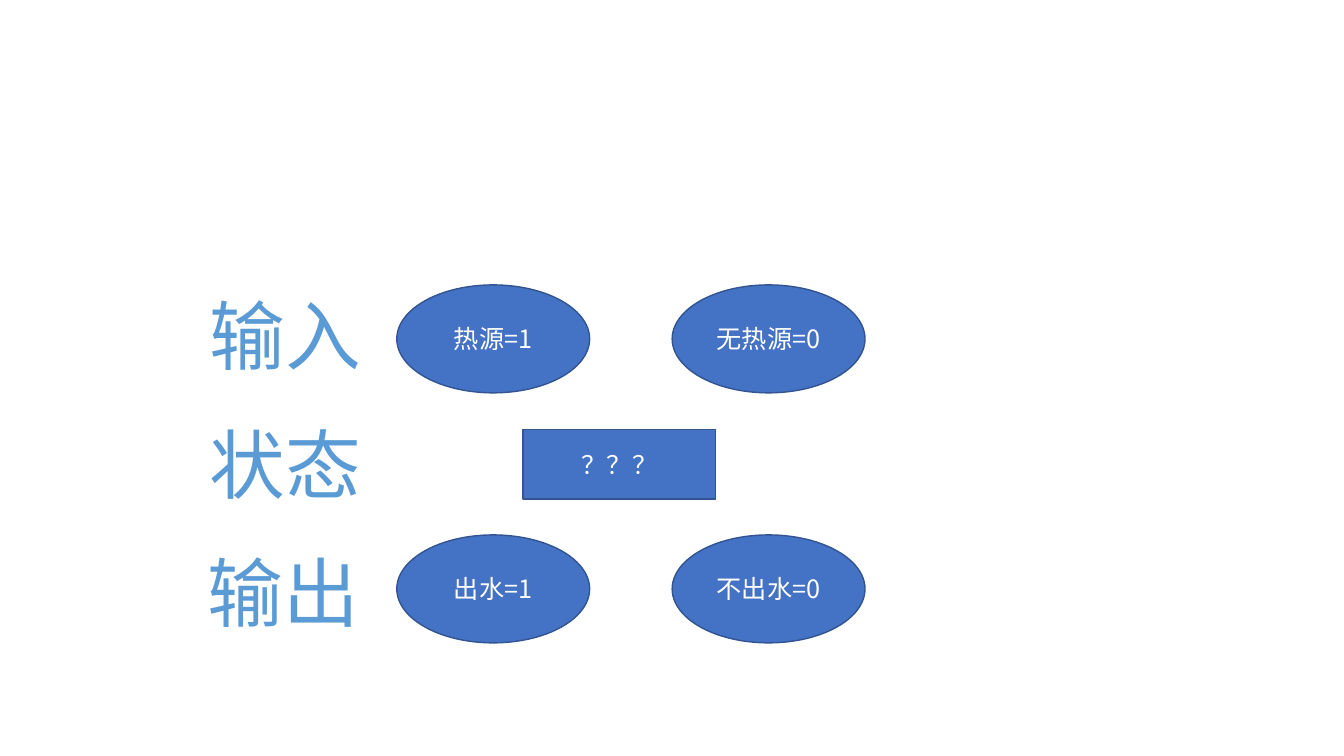
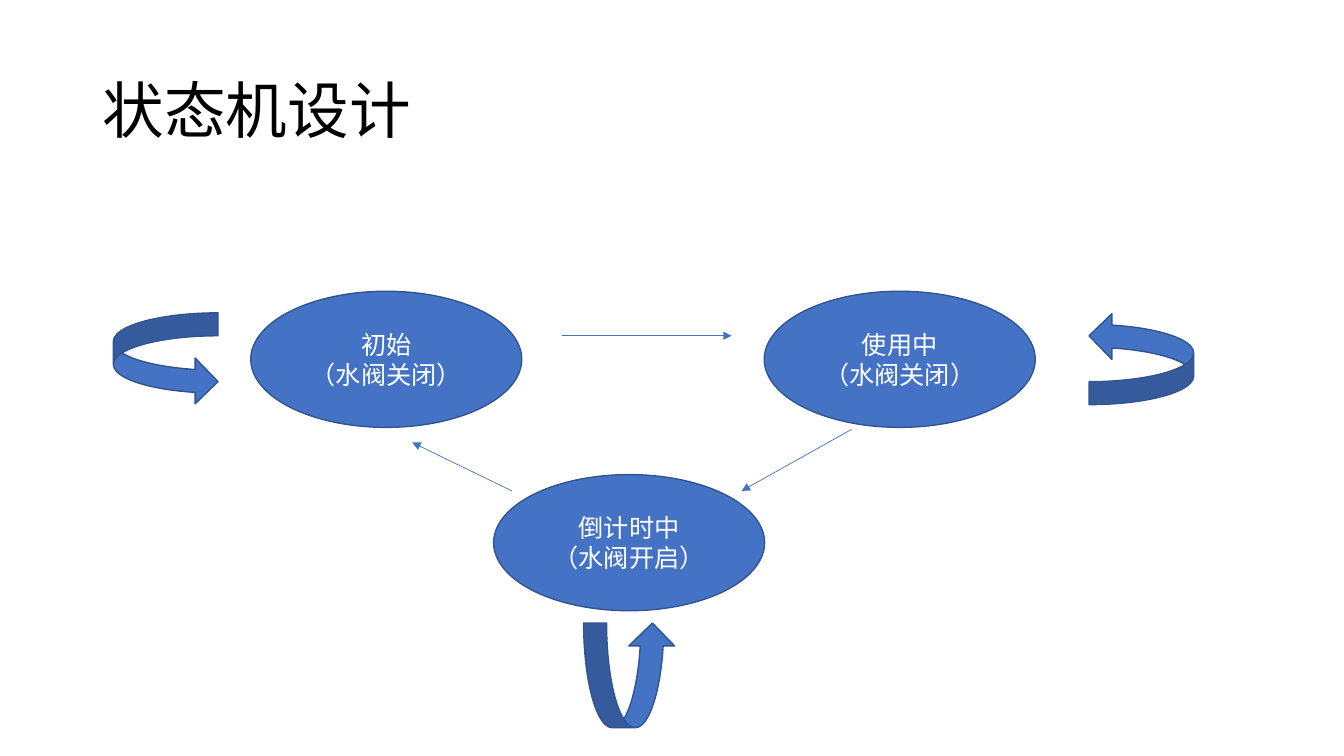
import dataclasses

import pptx
import pptx.dml.color
import pptx.enum.shapes
import pptx.enum.text
import pptx.oxml.ns
import pptx.util
from lxml import etree

Cm = pptx.util.Cm
Pt = pptx.util.Pt
SHAPE = pptx.enum.shapes.MSO_SHAPE
ALIGN = pptx.enum.text.PP_ALIGN
ANCHOR = pptx.enum.text.MSO_ANCHOR


@dataclasses.dataclass(frozen=True)
class Theme:
    font: str = "Noto Sans CJK SC"
    fill: str = "4472C4"
    outline: str = "325491"
    label: str = "5B9BD5"
    title: str = "000000"
    on_fill: str = "FFFFFF"
    body_size: int = 18
    title_size: int = 44
    label_size: int = 54
    outline_width: float = 1
    arrow_width: float = 0.5


THEME = Theme()

ROW_LABELS = [("输入", 5), ("状态", 5), ("输出", 4.95)]
LABEL_TOP, LABEL_STEP = 7.16, 3.24
LABEL_SIZE = (4.37, 2.57)

SIGNAL_ROWS = [
    (7.18, ["热源=1", "无热源=0"]),
    (13.48, ["出水=1", "不出水=0"]),
]
SIGNAL_LEFT, SIGNAL_STEP = 10, 6.94
SIGNAL_SIZE = (4.86, 2.72)
UNKNOWN_STATE = ("？？？", (13.18, 10.83, 4.86, 1.75))

MACHINE_TITLE = ("状态机设计", (2.34, 1.02, 29.21, 3.68))
STATES = [
    (["初始", "（水阀关闭）"], (6.32, 7.34)),
    (["使用中", "（水阀关闭）"], (19.26, 7.34)),
    (["倒计时中", "（水阀开启）"], (12.44, 11.96)),
]
STATE_SIZE = (6.83, 3.43)
TRANSITIONS = [
    ((14.17, 8.46), (18.44, 8.46)),
    ((21.46, 10.82), (18.69, 12.37)),
    ((12.9, 12.37), (10.39, 11.15)),
]
SELF_LOOPS = [((3.02, 7.72), 90), ((27.61, 7.72), 270), ((14.71, 15.7), 0)]
LOOP_SIZE = (2.31, 2.64)


def rgb(value):
    return pptx.dml.color.RGBColor.from_string(value)


def lengths(values):
    return [Cm(value) for value in values]


def write(frame, lines, size, color, align, anchor):
    frame.vertical_anchor = anchor
    for index, line in enumerate(lines):
        paragraph = frame.add_paragraph() if index else frame.paragraphs[0]
        paragraph.alignment = align
        run = paragraph.add_run()
        run.text = line
        run.font.size = Pt(size)
        run.font.color.rgb = rgb(color)
        run.font.name = THEME.font
        east_asian = etree.SubElement(run.font._element, pptx.oxml.ns.qn("a:ea"))
        east_asian.set("typeface", THEME.font)


def add_text(slide, line, box, size, color, align, anchor, wrap):
    frame = slide.shapes.add_textbox(*lengths(box)).text_frame
    frame.word_wrap = wrap
    write(frame, [line], size, color, align, anchor)
    return frame


def add_block(slide, preset, box, lines=(), rotation=0):
    block = slide.shapes.add_shape(preset, *lengths(box))
    block.rotation = rotation
    block.shadow.inherit = False
    block.fill.solid()
    block.fill.fore_color.rgb = rgb(THEME.fill)
    block.line.color.rgb = rgb(THEME.outline)
    block.line.width = Pt(THEME.outline_width)
    write(block.text_frame, lines, THEME.body_size, THEME.on_fill,
          ALIGN.CENTER, ANCHOR.MIDDLE)


def add_transition(slide, start, end):
    arrow = slide.shapes.add_connector(
        pptx.enum.shapes.MSO_CONNECTOR.STRAIGHT, *lengths(start + end))
    arrow.line.color.rgb = rgb(THEME.fill)
    arrow.line.width = Pt(THEME.arrow_width)
    head = etree.SubElement(arrow.line._get_or_add_ln(), pptx.oxml.ns.qn("a:tailEnd"))
    head.set("type", "triangle")
    etree.SubElement(arrow._element.spPr, pptx.oxml.ns.qn("a:effectLst"))


def build_signals(slide):
    for top, names in SIGNAL_ROWS:
        for column, name in enumerate(names):
            left = SIGNAL_LEFT + column * SIGNAL_STEP
            add_block(slide, SHAPE.OVAL, (left, top) + SIGNAL_SIZE, [name])
    for row, (label, left) in enumerate(ROW_LABELS):
        box = (left, LABEL_TOP + row * LABEL_STEP) + LABEL_SIZE
        add_text(slide, label, box, THEME.label_size, THEME.label,
                 ALIGN.CENTER, ANCHOR.TOP, False)
    unknown, box = UNKNOWN_STATE
    add_block(slide, SHAPE.RECTANGLE, box, [unknown])


def build_machine(slide):
    title, box = MACHINE_TITLE
    frame = add_text(slide, title, box, THEME.title_size, THEME.title,
                     ALIGN.LEFT, ANCHOR.MIDDLE, True)
    frame.paragraphs[0].line_spacing = 0.9
    for lines, corner in STATES:
        add_block(slide, SHAPE.OVAL, corner + STATE_SIZE, lines)
    for start, end in TRANSITIONS:
        add_transition(slide, start, end)
    for corner, rotation in SELF_LOOPS:
        add_block(slide, SHAPE.CURVED_UP_ARROW, corner + LOOP_SIZE, rotation=rotation)


def main():
    deck = pptx.Presentation()
    deck.slide_width, deck.slide_height = Cm(33.87), Cm(19.05)
    blank = deck.slide_layouts[6]
    for build in (build_signals, build_machine):
        build(deck.slides.add_slide(blank))
    deck.save("out.pptx")


if __name__ == "__main__":
    main()
